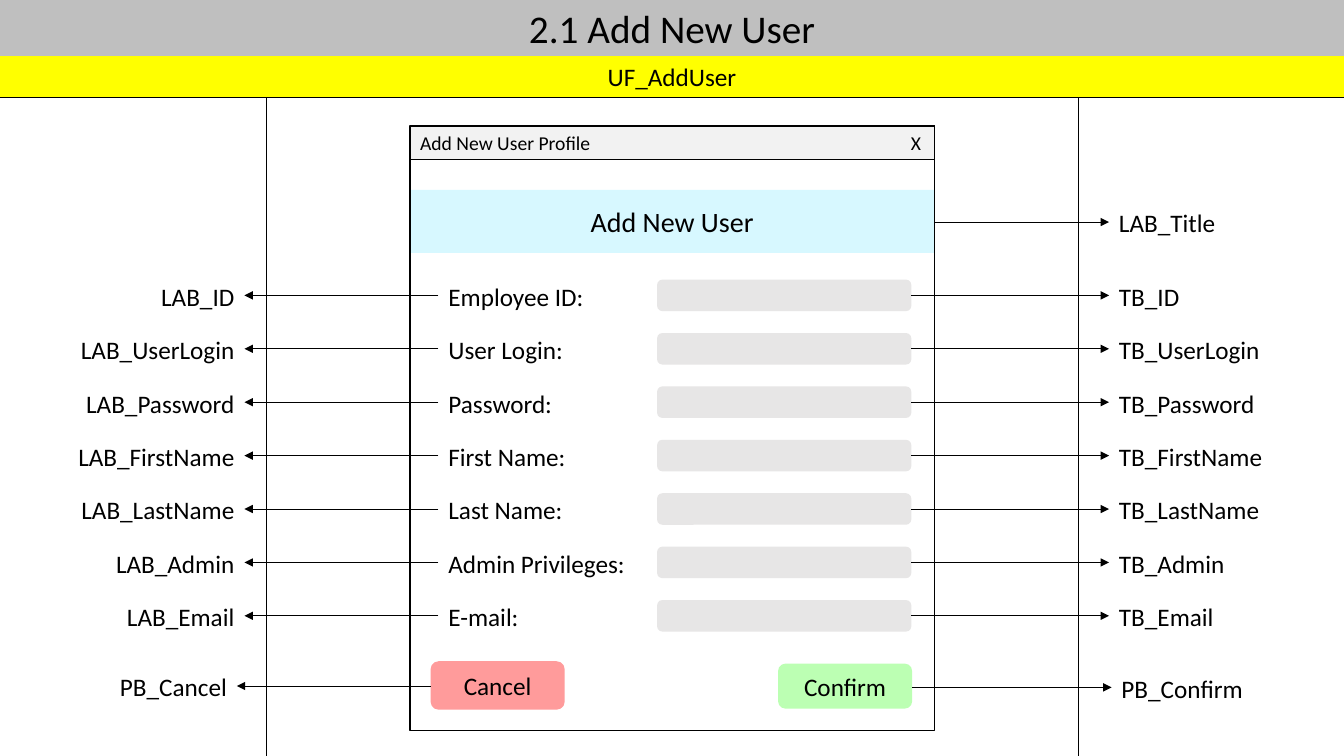
"""Build the annotated wireframe of the Add New User form."""
from dataclasses import dataclass

import pptx
import pptx.dml.color
import pptx.enum.dml
import pptx.enum.shapes
import pptx.enum.text
import pptx.oxml
import pptx.oxml.ns
import pptx.util

Pt = pptx.util.Pt
Align = pptx.enum.text.PP_ALIGN
Preset = pptx.enum.shapes.MSO_SHAPE

COLOURS = {
    "black": "000000", "heading": "BFBFBF", "form_name": "FFFF00",
    "title_bar": "F2F2F2", "banner": "D7F8FF", "field": "E7E6E6",
    "cancel": "FF9B9B", "confirm": "BCFFB3",
}
FONT = "Calibri"
PAGE_WIDTH, PAGE_HEIGHT = 960, 540
WINDOW_LEFT, WINDOW_TOP, WINDOW_WIDTH, WINDOW_HEIGHT = 293, 90, 374.4, 432
WINDOW_RIGHT = WINDOW_LEFT + WINDOW_WIDTH
BAND_TOP, BAND_BOTTOM = 40.2, 69.4
FIRST_ROW, ROW_PITCH = 211, 38.15
CAPTION_LEFT, CAPTION_WIDTH = 313.2, 157
FIELD_LEFT, FIELD_WIDTH, FIELD_HEIGHT = 469.4, 181.6, 22.5
LEFT_TIP, RIGHT_TIP = 174.6, 792.2
LABEL_WIDTH, LABEL_HEIGHT = 130, 29


@dataclass
class Panel:
    """A filled or outlined shape of the form, with optional text."""
    left: float
    top: float
    width: float
    height: float
    fill: str | None = None
    text: str = ""
    size: float = 18
    align: Align = Align.CENTER
    preset: Preset = Preset.RECTANGLE
    line_width: float = 0


@dataclass
class Callout:
    """An arrow that leads from a control to its name."""
    name: str
    middle: float
    start: float
    tip: float


@dataclass
class FormRow:
    """A caption and the stem shared by its control names."""
    caption: str
    stem: str


ROWS = [
    FormRow("Employee ID:", "ID"),
    FormRow("User Login:", "UserLogin"),
    FormRow("Password:", "Password"),
    FormRow("First Name:", "FirstName"),
    FormRow("Last Name:", "LastName"),
    FormRow("Admin Privileges:", "Admin"),
    FormRow("E-mail:", "Email"),
]
PANELS = [
    Panel(WINDOW_LEFT, WINDOW_TOP, WINDOW_WIDTH, 24.2, "title_bar",
          "Add New User Profile", 14, Align.LEFT, line_width=0.75),
    Panel(WINDOW_LEFT, 135.6, WINDOW_WIDTH, 45, "banner", "Add New User", 20),
    Panel(307.6, 472.3, 95.8, 34.6, "cancel", "Cancel",
          preset=Preset.ROUNDED_RECTANGLE),
    Panel(555.8, 474, 95.8, 32.2, "confirm", "Confirm",
          preset=Preset.ROUNDED_RECTANGLE),
    Panel(WINDOW_LEFT, WINDOW_TOP, WINDOW_WIDTH, WINDOW_HEIGHT, line_width=1),
    Panel(0, BAND_TOP, PAGE_WIDTH, BAND_BOTTOM - BAND_TOP, "form_name",
          "UF_AddUser"),
]
CALLOUTS = [
    Callout("LAB_Title", 158.6, WINDOW_RIGHT, RIGHT_TIP),
    Callout("PB_Cancel", 490, 307.6, 169.2),
    Callout("PB_Confirm", 491, 651.6, 794),
]


def colour(name: str) -> pptx.dml.color.RGBColor:
    """Look up a named colour."""
    return pptx.dml.color.RGBColor.from_string(COLOURS[name])


def write_text(shape, text: str, size: float, align: Align) -> None:
    """Put one formatted paragraph in the middle of a shape."""
    frame = shape.text_frame
    frame.word_wrap = True
    frame.auto_size = pptx.enum.text.MSO_AUTO_SIZE.NONE
    frame.vertical_anchor = pptx.enum.text.MSO_ANCHOR.MIDDLE
    frame.margin_top = frame.margin_bottom = Pt(0)
    frame.text = text
    paragraph = frame.paragraphs[0]
    paragraph.alignment = align
    paragraph.font.name = FONT
    paragraph.font.size = Pt(size)
    paragraph.font.color.rgb = colour("black")


def add_label(page, text: str, left: float, middle: float, width: float,
              align: Align = Align.LEFT, size: float = 18) -> None:
    """Add a text box centred on a height."""
    box = page.shapes.add_textbox(Pt(left), Pt(middle - LABEL_HEIGHT / 2),
                                  Pt(width), Pt(LABEL_HEIGHT))
    write_text(box, text, size, align)


def add_panel(page, panel: Panel) -> None:
    """Draw a panel and its text."""
    shape = page.shapes.add_shape(panel.preset, Pt(panel.left), Pt(panel.top),
                                  Pt(panel.width), Pt(panel.height))
    shape.shadow.inherit = False
    if panel.fill:
        shape.fill.solid()
        shape.fill.fore_color.rgb = colour(panel.fill)
    else:
        shape.fill.background()
    if panel.line_width:
        shape.line.color.rgb = colour("black")
        shape.line.width = Pt(panel.line_width)
    else:
        shape.line.fill.background()
    if panel.text:
        write_text(shape, panel.text, panel.size, panel.align)


def add_line(page, x1: float, y1: float, x2: float, y2: float,
             arrow: bool = False) -> None:
    """Draw a thin line, with an arrowhead at its end if asked."""
    line = page.shapes.add_connector(pptx.enum.shapes.MSO_CONNECTOR.STRAIGHT,
                                     Pt(x1), Pt(y1), Pt(x2), Pt(y2))
    line.line.color.rgb = colour("black")
    line.line.width = Pt(0.5)
    if arrow:
        head = pptx.oxml.parse_xml(
            f'<a:tailEnd {pptx.oxml.ns.nsdecls("a")} type="triangle"/>')
        line.line._get_or_add_ln().append(head)
    line._element.spPr.append(
        pptx.oxml.parse_xml(f'<a:effectLst {pptx.oxml.ns.nsdecls("a")}/>'))


def add_callout(page, callout: Callout) -> None:
    """Draw an arrow and the control name beyond its tip."""
    add_line(page, callout.start, callout.middle, callout.tip,
             callout.middle, arrow=True)
    points_left = callout.tip < callout.start
    left = callout.tip - LABEL_WIDTH if points_left else callout.tip
    add_label(page, callout.name, left, callout.middle + 0.5, LABEL_WIDTH,
              Align.RIGHT if points_left else Align.LEFT)


def add_heading(page) -> None:
    """Format the title placeholder as the bar at the top."""
    title = page.shapes.title
    title.left, title.top = Pt(0), Pt(0)
    title.width, title.height = Pt(PAGE_WIDTH), Pt(BAND_TOP)
    title.fill.solid()
    title.fill.fore_color.rgb = colour("heading")
    write_text(title, "2.1 Add New User", 28, Align.CENTER)


def add_form_row(page, row: FormRow, middle: float) -> None:
    """Draw a caption, its field and both callouts."""
    add_label(page, row.caption, CAPTION_LEFT, middle + 0.5, CAPTION_WIDTH)
    add_panel(page, Panel(FIELD_LEFT, middle - FIELD_HEIGHT / 2, FIELD_WIDTH,
                          FIELD_HEIGHT, "field",
                          preset=Preset.ROUNDED_RECTANGLE))
    add_callout(page, Callout(f"LAB_{row.stem}", middle, CAPTION_LEFT, LEFT_TIP))
    add_callout(page, Callout(f"TB_{row.stem}", middle,
                              FIELD_LEFT + FIELD_WIDTH, RIGHT_TIP))


deck = pptx.Presentation()
deck.slide_width, deck.slide_height = Pt(PAGE_WIDTH), Pt(PAGE_HEIGHT)
page = deck.slides.add_slide(deck.slide_layouts.get_by_name("Title Only"))
add_heading(page)
for divider in (190, 770.4):
    add_line(page, divider, BAND_BOTTOM, divider, PAGE_HEIGHT)
for panel in PANELS:
    add_panel(page, panel)
add_label(page, "X", 643.5, 102.1, 31, size=14)
for index, row in enumerate(ROWS):
    add_form_row(page, row, FIRST_ROW + index * ROW_PITCH)
for callout in CALLOUTS:
    add_callout(page, callout)
add_line(page, 0, BAND_BOTTOM, PAGE_WIDTH, BAND_BOTTOM)
deck.save("out.pptx")
